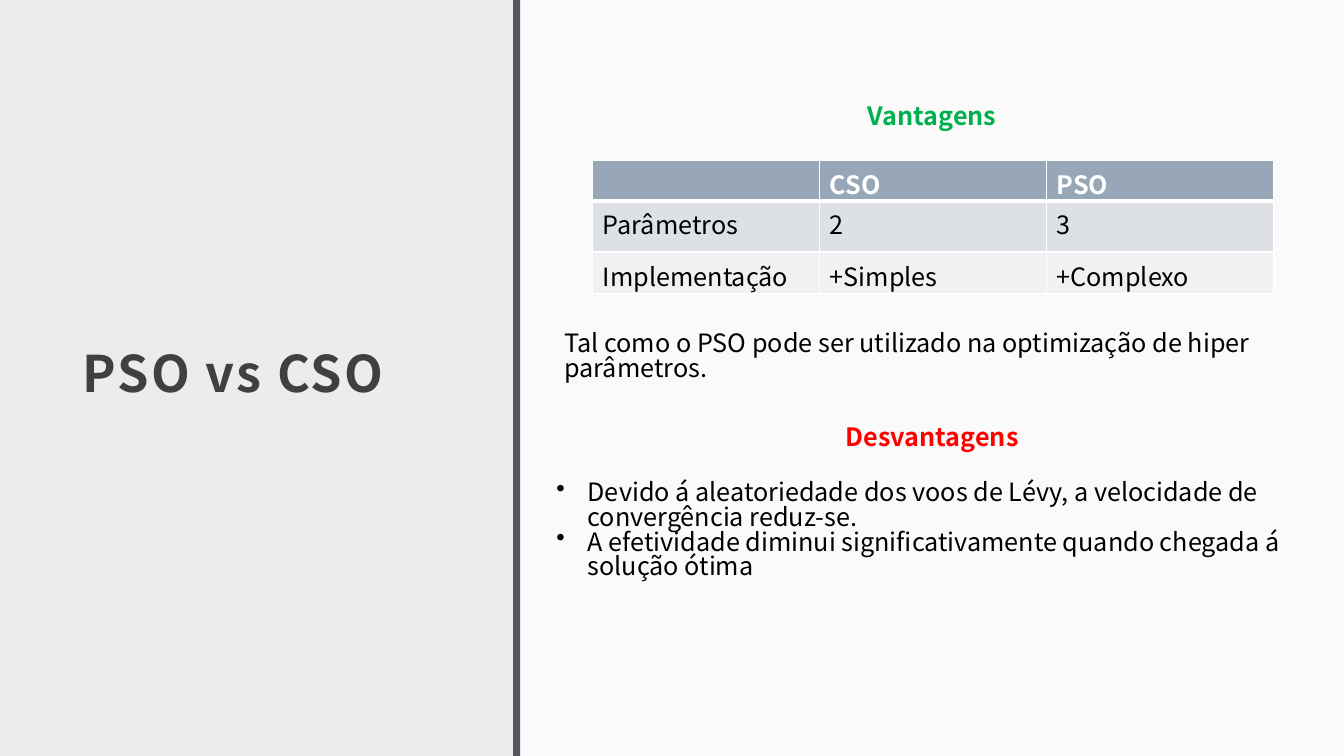
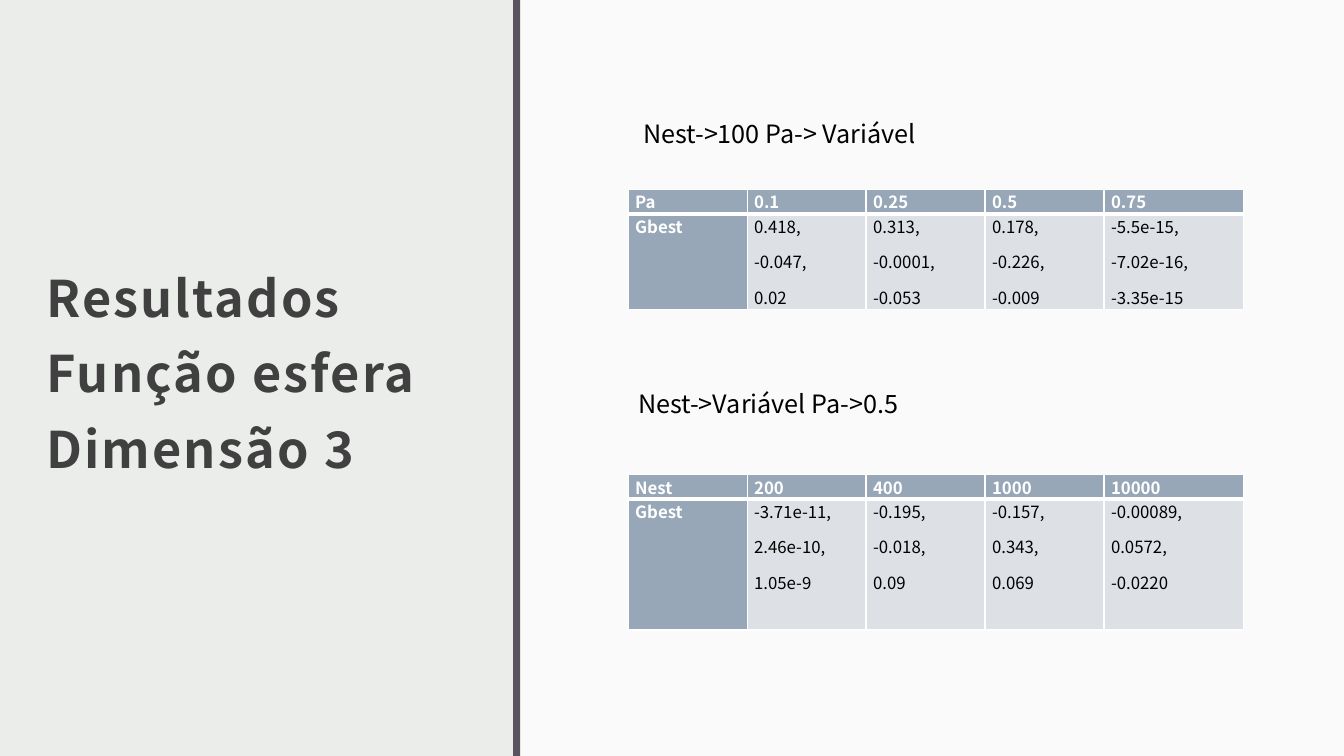
from lxml import etree
from pptx import Presentation
from pptx import util as u
from pptx.dml.color import RGBColor
from pptx.enum import shapes, text
from pptx.oxml.ns import qn

FONT = "Noto Sans CJK JP"
PANEL, PAPER, BAR = "EBEDEB", "FFFFFF", "595460"
TITLE, INK, GOOD, BAD = "404040", "000000", "00B050", "FF0000"
HEAD, ROW_DARK, ROW_LIGHT = "97A7B8", "DDE1E6", "EFF1F3"
WIDTH, HEIGHT = 13.33, 7.5
SPLIT = 5.16
BAR_WIDTH = 0.07
BODY_SPACING, TITLE_SPACING = 0.82, 1.25


def write(frame, lines, size, colour, bold=False, spacing=1.0, after=0):
    """Fill a text frame with one styled paragraph per line."""
    frame.word_wrap = True
    for index, line in enumerate(lines):
        para = frame.add_paragraph() if index else frame.paragraphs[0]
        para.text = line
        para.line_spacing = spacing
        para.space_after = u.Pt(after)
        para.font.name = FONT
        para.font.size = u.Pt(size)
        para.font.bold = bold
        para.font.color.rgb = RGBColor.from_string(colour)


def draw_table(slide, left, top, columns, heights, rows, size, side, edge, after, head_column):
    """Add a table with a dark header row, white rules and tinted body rows."""
    table = slide.shapes.add_table(
        len(rows), len(columns), u.Inches(left), u.Inches(top),
        u.Inches(sum(columns)), u.Inches(sum(heights))).table
    for column, width in zip(table.columns, columns):
        column.width = u.Inches(width)
    for r, (height, row) in enumerate(zip(heights, rows)):
        table.rows[r].height = u.Inches(height)
        for c, content in enumerate(row):
            cell = table.cell(r, c)
            cell.margin_left = cell.margin_right = u.Inches(side)
            cell.margin_top = cell.margin_bottom = u.Inches(edge)
            is_head = r == 0 or (head_column and c == 0)
            write(cell.text_frame, content.split("\n"), size,
                  PAPER if is_head else INK, is_head, after=after)
            rules = {"lnL": 1, "lnR": 1, "lnT": 3 if r == 1 else 1, "lnB": 1 if r else 3}
            for tag, points in rules.items():
                rule = etree.SubElement(cell._tc.get_or_add_tcPr(), qn("a:" + tag),
                                        w=str(u.Pt(points)))
                paint = etree.SubElement(rule, qn("a:solidFill"))
                etree.SubElement(paint, qn("a:srgbClr"), val=PAPER)
            cell.fill.solid()
            tint = HEAD if is_head else (ROW_DARK if r % 2 else ROW_LIGHT)
            cell.fill.fore_color.rgb = RGBColor.from_string(tint)


deck = Presentation()
deck.slide_width, deck.slide_height = u.Inches(WIDTH), u.Inches(HEIGHT)
backdrop = deck.slide_master.background.fill
backdrop.solid()
backdrop.fore_color.rgb = RGBColor.from_string(PANEL)

# Each slide: title, its left edge and width, then (left, top, width, height, text, colour, bold)
pages = [
    ("PSO vs CSO", 0.7, 3.73, [
        (8.51, 1, 1.61, 0.4, "Vantagens", GOOD, True),
        (8.29, 4.18, 2.08, 0.4, "Desvantagens", BAD, True),
        (5.5, 3.25, 7.5, 0.7,
         "Tal como o PSO pode ser utilizado na optimização de hiper parâmetros.", INK, False),
    ]),
    ("Resultados\vFunção esfera Dimensão 3", 0.34, 4.61, [
        (6.28, 1.18, 3.89, 0.4, "Nest->100 Pa-> Variável", INK, False),
        (6.23, 3.86, 3.89, 0.4, "Nest->Variável Pa->0.5", INK, False),
    ]),
]

for title, title_left, title_width, notes in pages:
    slide = deck.slides.add_slide(deck.slide_layouts[6])
    for left, width, colour in ((SPLIT, WIDTH - SPLIT, PAPER),
                                (SPLIT - BAR_WIDTH, BAR_WIDTH, BAR)):
        band = slide.shapes.add_shape(shapes.MSO_SHAPE.RECTANGLE, u.Inches(left), 0,
                                      u.Inches(width), deck.slide_height)
        band.shadow.inherit = False
        band.line.fill.background()
        band.fill.solid()
        band.fill.fore_color.rgb = RGBColor.from_string(colour)
        if colour == PAPER:
            tone = band._element.spPr.find(".//" + qn("a:srgbClr"))
            etree.SubElement(tone, qn("a:alpha"), val="75000")

    box = slide.shapes.add_textbox(u.Inches(title_left), u.Inches(0.77),
                                   u.Inches(title_width), u.Inches(5.68))
    frame = box.text_frame
    frame.vertical_anchor = text.MSO_ANCHOR.MIDDLE
    frame.margin_left = frame.margin_right = frame.margin_top = u.Inches(0.12)
    frame.margin_bottom = u.Inches(0.1)
    write(frame, [title], 36, TITLE, True, TITLE_SPACING)
    frame.paragraphs[0].font._rPr.set("spc", "150")

    for left, top, width, height, note, colour, bold in notes:
        box = slide.shapes.add_textbox(u.Inches(left), u.Inches(top),
                                       u.Inches(width), u.Inches(height))
        write(box.text_frame, [note], 18, colour, bold, BODY_SPACING)

comparison, results = deck.slides

draw_table(comparison, 5.88, 1.59, [2.25] * 3, [0.35, 0.51, 0.41], [
    ["", "CSO", "PSO"],
    ["Parâmetros", "2", "3"],
    ["Implementação", "+Simples", "+Complexo"],
], size=18, side=0.1, edge=0.05, after=0, head_column=False)

drawbacks = comparison.shapes.add_textbox(u.Inches(5.42), u.Inches(4.73),
                                          u.Inches(WIDTH - 5.42), u.Inches(1.31))
write(drawbacks.text_frame, [
    "Devido á aleatoriedade dos voos de Lévy, a velocidade de convergência reduz-se.",
    "A efetividade diminui significativamente quando chegada á solução ótima",
], 18, INK, spacing=BODY_SPACING)
for para in drawbacks.text_frame.paragraphs:
    layout = para._p.get_or_add_pPr()
    layout.set("marL", str(u.Inches(0.31)))
    layout.set("indent", str(-u.Inches(0.31)))
    bullet = etree.Element(qn("a:buChar"), char="•")
    layout.find(qn("a:defRPr")).addprevious(bullet)

trials = [
    (1.88, 0.95, [
        ["Pa", "0.1", "0.25", "0.5", "0.75"],
        ["Gbest", "0.418,\n-0.047,\n0.02", "0.313,\n-0.0001,\n-0.053",
         "0.178,\n-0.226,\n-0.009", "-5.5e-15,\n-7.02e-16,\n-3.35e-15"],
    ]),
    (4.71, 1.3, [
        ["Nest", "200", "400", "1000", "10000"],
        ["Gbest", "-3.71e-11,\n2.46e-10,\n1.05e-9", "-0.195,\n-0.018,\n0.09",
         "-0.157,\n0.343,\n0.069", "-0.00089,\n0.0572,\n-0.0220"],
    ]),
]
for top, body_height, rows in trials:
    draw_table(results, 6.23, top, [1.18] * 4 + [1.38], [0.24, body_height], rows,
               size=12, side=0.07, edge=0, after=8, head_column=True)

deck.save("out.pptx")
